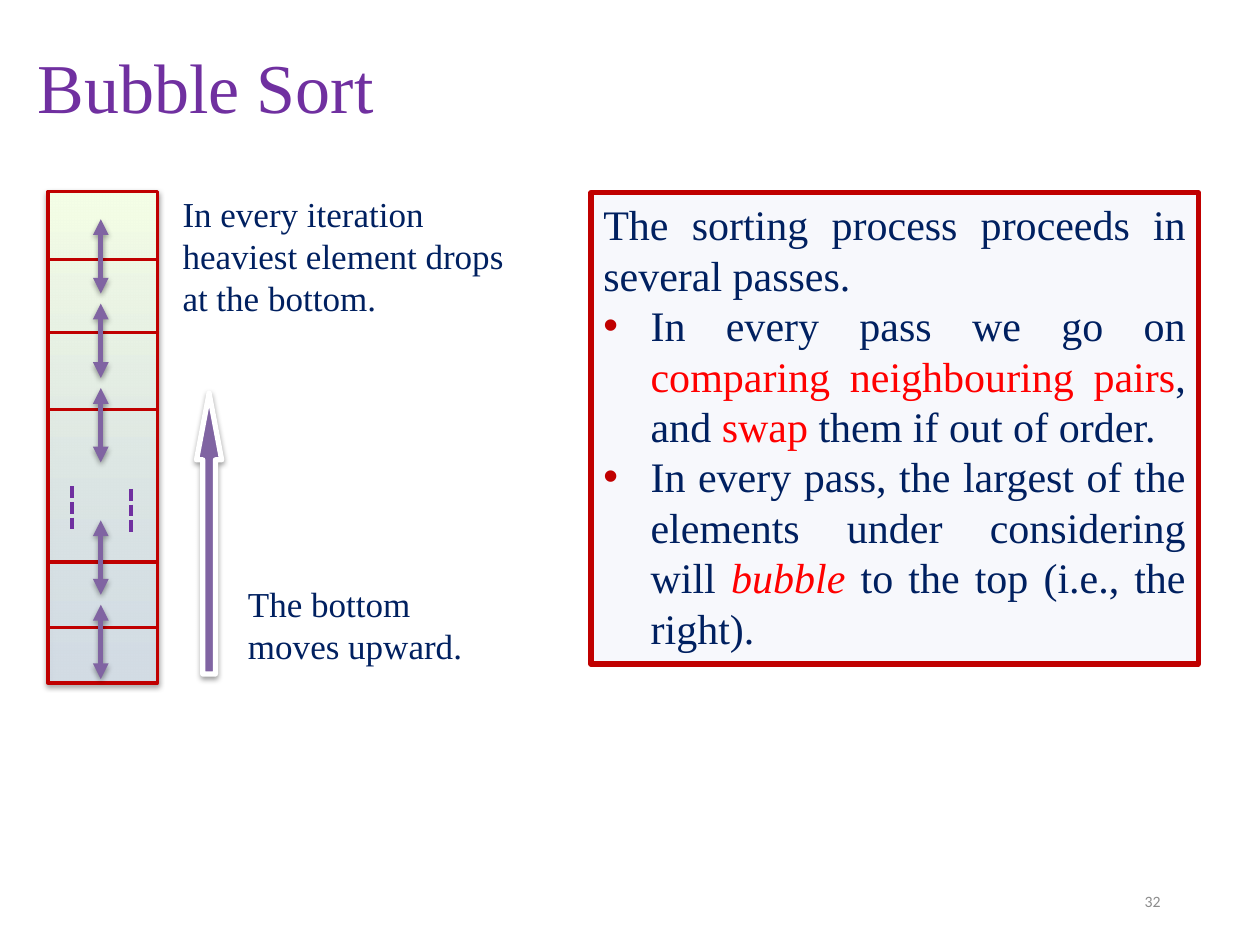
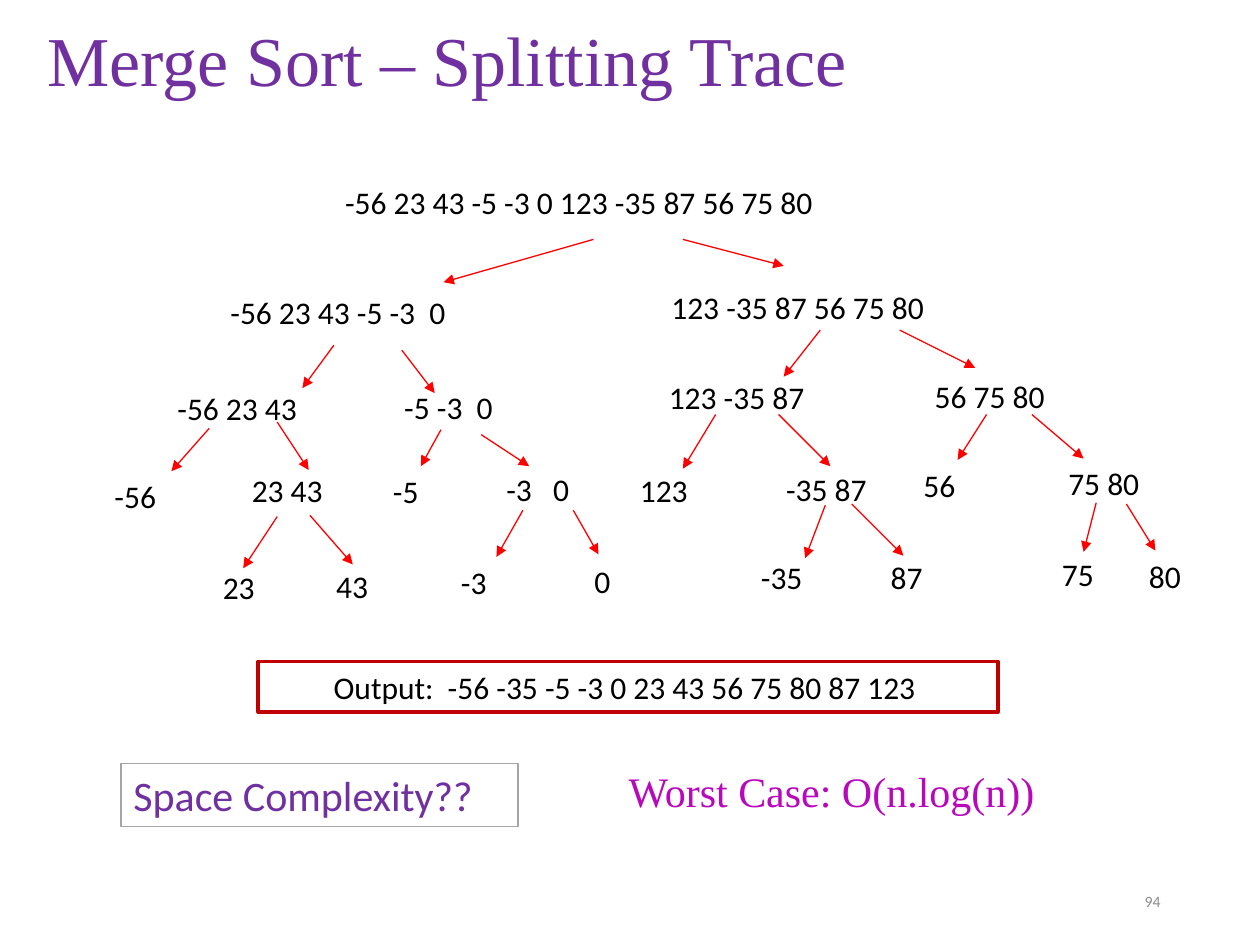
"""Build two slides on sorting: bubble sort passes and a merge sort splitting trace."""
import pptx
import pptx.dml.color
import pptx.enum.dml
import pptx.enum.shapes
import pptx.enum.text
import pptx.oxml
import pptx.oxml.ns
import pptx.util
from lxml import etree

COLORS = {
    "title": "7030A0", "body": "002060", "frame": "C00000", "highlight": "FF0000",
    "arrow": "8064A2", "node": "000000", "number": "8C8C8C", "worst": "B808BC",
    "panel": "ECEFF8", "column_top": "F5FFE7", "column_bottom": "DEEBF7",
    "grey": "A5A5A5", "white": "FFFFFF",
}
RGB = {name: pptx.dml.color.RGBColor.from_string(value) for name, value in COLORS.items()}
SERIF, SANS = "Times New Roman", "Calibri"
ALIGN = pptx.enum.text.PP_ALIGN
MIDDLE = pptx.enum.text.MSO_ANCHOR.MIDDLE
SHAPES = pptx.enum.shapes.MSO_SHAPE
DASH = pptx.enum.dml.MSO_LINE.SQUARE_DOT
qn = pptx.oxml.ns.qn
NAMESPACE = pptx.oxml.ns.nsdecls("a")
SHADOW = (f'<a:outerShdw {NAMESPACE} blurRad="40000" dist="20000" dir="5400000" rotWithShape="0">'
          '<a:srgbClr val="000000"><a:alpha val="38000"/></a:srgbClr></a:outerShdw>')

presentation = pptx.Presentation()
presentation.slide_width = pptx.util.Inches(10)
presentation.slide_height = pptx.util.Inches(7.5)
COLUMN = presentation.slide_width / 100
ROW = presentation.slide_height / 75


def add_text(slide, box, text, font, size, color, wrap=True, grow=True, hanging=False):
    """Add a one-paragraph text box placed by left, top, width and height in grid units."""
    left, top, width, height = box
    shape = slide.shapes.add_textbox(int(left * COLUMN), int(top * ROW),
                                     int(width * COLUMN), int(height * ROW))
    frame = shape.text_frame
    frame.word_wrap = wrap
    if grow:
        frame.auto_size = pptx.enum.text.MSO_AUTO_SIZE.SHAPE_TO_FIT_TEXT
    frame.text = text
    paragraph = frame.paragraphs[0]
    if hanging:
        properties = paragraph._p.get_or_add_pPr()
        properties.set("marL", str(int(8.1 * COLUMN)))
        properties.set("indent", str(int(-3.1 * COLUMN)))
    run_font = paragraph.runs[0].font
    run_font.name, run_font.size = font, pptx.util.Pt(size)
    run_font.color.rgb = RGB[color]
    return shape


def add_line(slide, start, end, color, weight, ends=(), dash=None, shadow=False):
    """Add a straight line between two grid points, with arrowheads at the named ends."""
    line = slide.shapes.add_connector(
        pptx.enum.shapes.MSO_CONNECTOR.STRAIGHT,
        int(start[0] * COLUMN), int(start[1] * ROW), int(end[0] * COLUMN), int(end[1] * ROW))
    line.line.color.rgb = RGB[color]
    line.line.width = pptx.util.Pt(weight)
    if dash:
        line.line.dash_style = dash
    for name in ends:
        etree.SubElement(line.line._get_or_add_ln(), qn(f"a:{name}"), type="triangle")
    effects = etree.SubElement(line._element.spPr, qn("a:effectLst"))
    if shadow:
        effects.append(pptx.oxml.parse_xml(SHADOW))


slides = []
for title, title_left, title_top, number in (
        ("Bubble Sort", 2, 2.1, "32"),
        ("Merge Sort – Splitting Trace", 2.8, 0, "94")):
    slide = presentation.slides.add_slide(presentation.slide_layouts[6])
    slides.append(slide)
    page_number = add_text(slide, (70.6, 69.5, 22.5, 4), number, SANS, 9, "number", grow=False)
    page_number.text_frame.paragraphs[0].alignment = ALIGN.RIGHT
    heading = add_text(slide, (title_left, title_top, 95.3, 10.2), title, SERIF, 40, "title",
                       grow=False)
    heading.text_frame.paragraphs[0].line_spacing = 0.9
    for shape in (page_number, heading):
        shape.text_frame.vertical_anchor = MIDDLE
bubble, merge = slides

ARRAY_LEFT, ARRAY_WIDTH = 3.8, 8.7
array, upward = [
    bubble.shapes.add_shape(kind, int(left * COLUMN), int(top * ROW),
                            int(width * COLUMN), int(height * ROW))
    for kind, left, top, width, height in (
        (SHAPES.RECTANGLE, ARRAY_LEFT, 15.2, ARRAY_WIDTH, 39),
        (SHAPES.UP_ARROW, 15.6, 31.2, 2, 22.3))]
for shape, outline, weight in ((array, "frame", 2), (upward, "white", 3)):
    shape.line.color.rgb = RGB[outline]
    shape.line.width = pptx.util.Pt(weight)
    shape.shadow.inherit = False
    shape._element.spPr.find(qn("a:effectLst")).append(pptx.oxml.parse_xml(SHADOW))
upward.fill.solid()
upward.fill.fore_color.rgb = RGB["arrow"]
upward.adjustments[0], upward.adjustments[1] = 0.5, 2.65
array.fill.gradient()
array.fill.gradient_angle = 90
for stop, color in zip(array.fill.gradient_stops, ("column_bottom", "column_top")):
    stop.color.rgb = RGB[color]
bottom_color = array._element.spPr.find(".//" + qn("a:srgbClr"))
etree.SubElement(bottom_color, qn("a:alpha"), val="69000")

for divider in (20.6, 26.4, 32.5, 44.6, 49.8):
    add_line(bubble, (ARRAY_LEFT, divider), (ARRAY_LEFT + ARRAY_WIDTH, divider), "frame", 2)
for swap_top in (17.4, 24.1, 30.8, 41.3, 48):
    add_line(bubble, (8, swap_top), (8, swap_top + 5.9), "arrow", 3,
             ends=("headEnd", "tailEnd"), shadow=True)
for dots_left, dots_top in ((10.4, 38.8), (5.7, 38.6)):
    add_line(bubble, (dots_left, dots_top), (dots_left, dots_top + 3.55), "title", 2.25, dash=DASH)

passes = add_text(bubble, (46.9, 15.3, 48.2, 37.4),
                  "The sorting process proceeds in several passes.", SERIF, 24, "body")
passes.fill.solid()
passes.fill.fore_color.rgb = RGB["panel"]
etree.SubElement(passes._element.spPr.find(".//" + qn("a:srgbClr")), qn("a:alpha"), val="42000")
passes.line.color.rgb = RGB["frame"]
passes.line.width = pptx.util.Pt(3)
for segments in (
        ("In every pass we go on ", "comparing neighbouring pairs", ", and ", "swap",
         " them if out of order."),
        ("In every pass, the largest of the elements under considering will ", "bubble ",
         "to the top (i.e., the right).")):
    paragraph = passes.text_frame.add_paragraph()
    properties = paragraph._p.get_or_add_pPr()
    properties.set("marL", str(int(3.75 * COLUMN)))
    properties.set("indent", str(int(-3.75 * COLUMN)))
    bullet_color = etree.SubElement(properties, qn("a:buClr"))
    etree.SubElement(bullet_color, qn("a:srgbClr"), val=COLORS["frame"])
    etree.SubElement(properties, qn("a:buFont"), typeface="Arial")
    etree.SubElement(properties, qn("a:buChar"), char="•")
    for position, segment in enumerate(segments):
        run = paragraph.add_run()
        run.text = segment
        run.font.name, run.font.size = SERIF, pptx.util.Pt(24)
        run.font.color.rgb = RGB["highlight" if position % 2 else "body"]
        run.font.italic = segment == "bubble "
for paragraph in passes.text_frame.paragraphs:
    paragraph.alignment = ALIGN.JUSTIFY

add_text(bubble, (13.5, 14.8, 29.5, 11.1),
         "In every iteration heaviest element drops at the bottom.", SERIF, 20, "body")
add_text(bubble, (18.7, 45.7, 22, 7.7), "The bottom moves upward.", SERIF, 20, "body")

TREE = (
    ("-56 23 43 -5 -3 0 123 -35 87 56 75 80", (21.4, 14, 57.3, 5), None),
    ("-56 23 43 -5 -3  0", (12.3, 22.8, 27.1, 4), ((47.1, 19), (35.2, 22.4))),
    ("123 -35 87 56 75 80", (47.3, 22.4, 34, 5), ((54.2, 19), (62.2, 21.1))),
    ("-56 23 43", (8.1, 30.4, 20.6, 5), ((26.5, 27.4), (24, 30.8))),
    ("-5 -3  0", (26.1, 30.3, 15.2, 4), ((31.9, 27.8), (34.5, 31.2))),
    ("123 -35 87", (47.1, 29.5, 22.3, 5), ((65.1, 26.2), (62.2, 29.9))),
    ("56 75 80", (68.2, 29.4, 18.7, 5), ((71.4, 26.2), (77.4, 29.2))),
    ("-56", (3.1, 37.4, 11.5, 5), ((16.6, 34), (13.6, 37.4))),
    ("23 43", (14, 36.9, 17, 5), ((22, 33.5), (24.5, 37.3))),
    ("-5", (25.2, 37, 9.3, 4), ((35, 34.1), (33.4, 37))),
    ("-3   0", (34.2, 36.8, 12.9, 4), ((38.2, 34.5), (42, 37))),
    ("123", (44.8, 36.9, 12, 5), ((56.8, 32.9), (54.2, 37.2))),
    ("-35 87", (56.4, 36.8, 15.6, 5), ((61.8, 32.9), (65.9, 37))),
    ("56", (67.3, 36.5, 10.3, 5), ((78.3, 32.9), (76, 36.5))),
    ("75 80", (78.8, 36.3, 14.5, 5), ((81.9, 32.9), (86, 36.4))),
    ("23", (11.7, 44.6, 10.3, 5), ((22, 41), (19.3, 45.1))),
    ("43", (20.7, 44.5, 10.3, 5), ((24.6, 40.9), (28, 44.8))),
    ("-3", (30.6, 44.2, 9.8, 5), ((41.5, 40.5), (39.4, 44.2))),
    ("0", (41.2, 44.1, 8.7, 5), ((45.5, 40.5), (47.5, 44))),
    ("-35", (54.4, 43.8, 11.5, 5), ((65.5, 40.1), (63.9, 44.3))),
    ("87", (64.7, 43.8, 10.3, 5), ((67.6, 40), (71.7, 44.1))),
    ("75", (78.3, 43.6, 10.3, 5), ((87, 39.9), (86, 43.8))),
    ("80", (85.2, 43.7, 10.3, 5), ((89.4, 40), (91.7, 43.7))),
)
for values, box, split in TREE:
    add_text(merge, box, values, SANS, 18, "node", wrap=values == "23 43", hanging=True)
    if split:
        add_line(merge, *split, "highlight", 0.75, ends=("tailEnd",))

output = add_text(merge, (20.5, 52.5, 58.7, 4), "Output:  -56 -35 -5 -3 0 23 43 56 75 80 87 123",
                  SANS, 18, "node", wrap=False, hanging=True)
add_text(merge, (43.9, 60.3, 39.5, 5), "Worst Case: O(n.log(n))", SERIF, 24, "worst",
         wrap=False, hanging=True)
question = add_text(merge, (9.6, 60.6, 31.5, 5), "Space Complexity??", SANS, 24, "title")
question.fill.solid()
question.fill.fore_color.rgb = RGB["white"]
for shape, outline, weight in ((output, "frame", 2), (question, "grey", 1)):
    shape.line.color.rgb = RGB[outline]
    shape.line.width = pptx.util.Pt(weight)

presentation.save("out.pptx")
